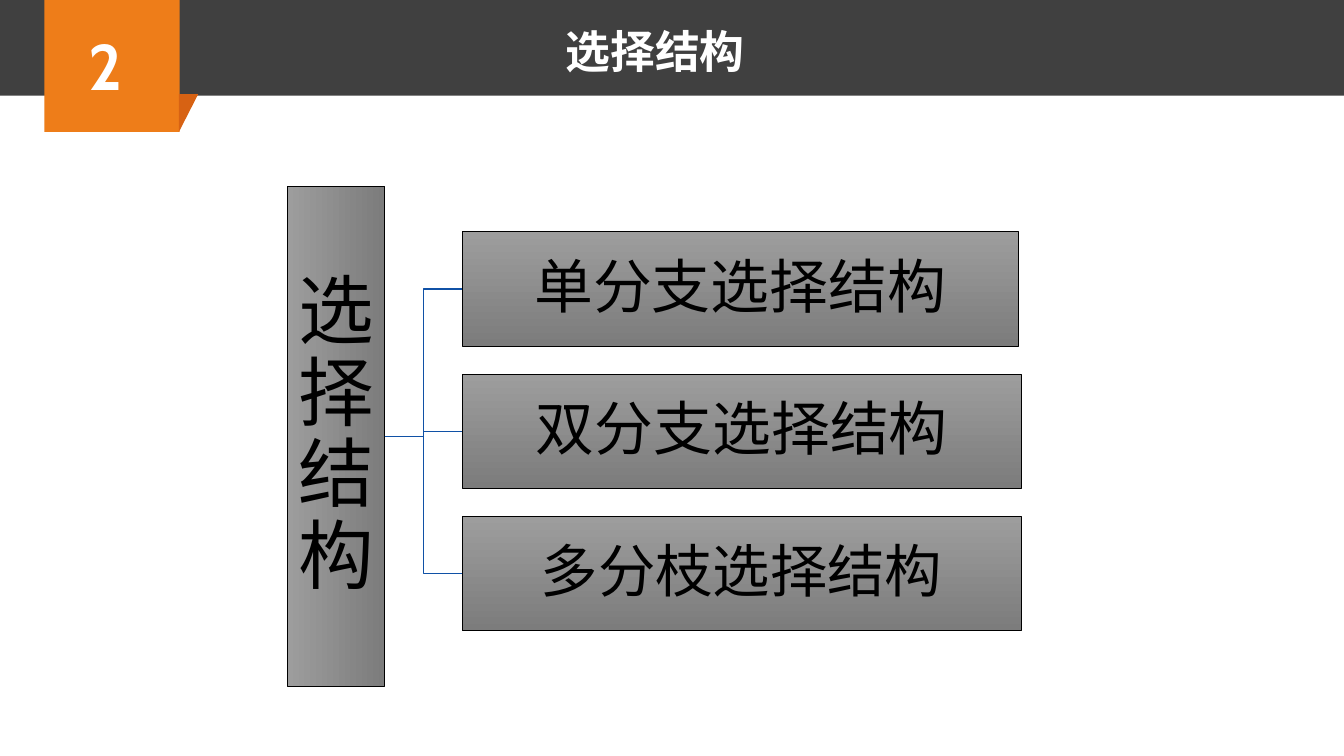
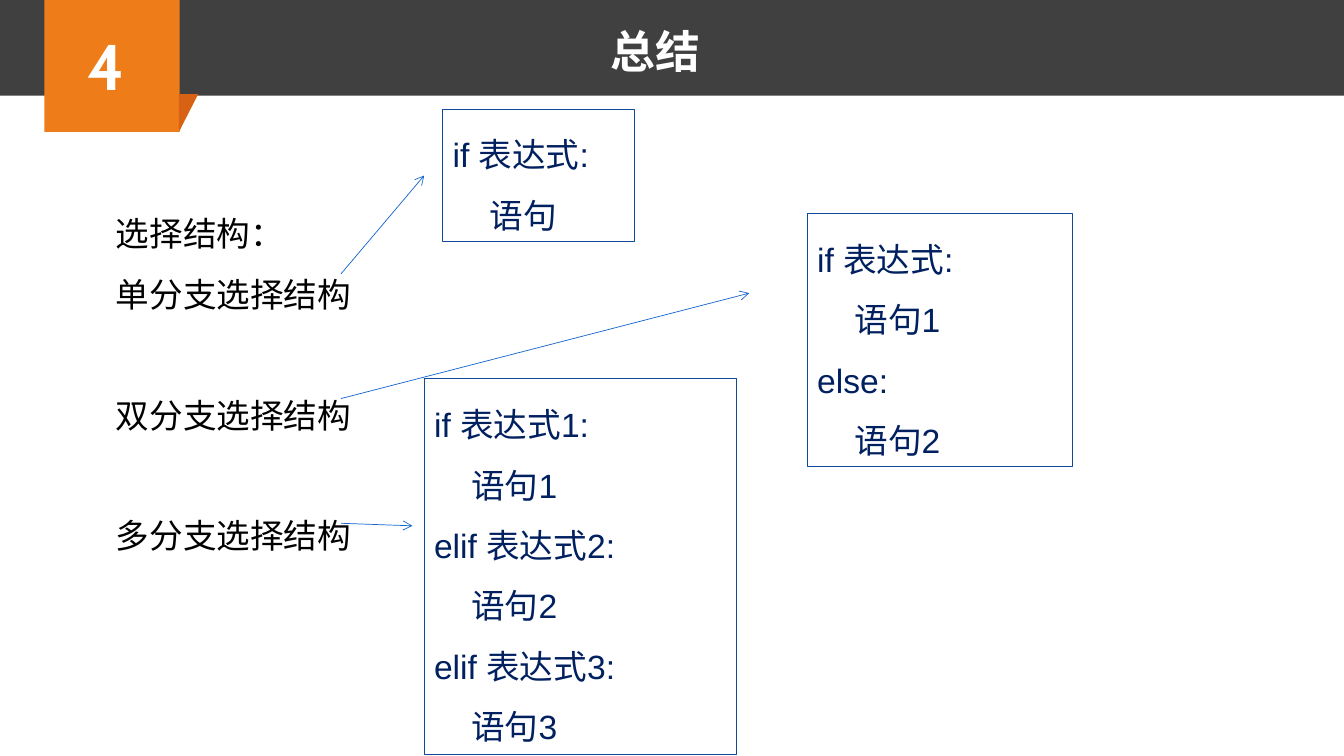
from dataclasses import dataclass

from lxml import etree
from pptx import Presentation
from pptx.dml.color import RGBColor
from pptx.enum.shapes import MSO_CONNECTOR, MSO_SHAPE
from pptx.enum.text import MSO_ANCHOR, MSO_AUTO_SIZE, PP_ALIGN
from pptx.oxml.ns import qn
from pptx.util import Inches, Pt

CELL = Inches(1) / 12
COLUMNS, ROWS = 160, 90
BAND_ROWS = 11.4
COLORS = {
    "band": "404040", "badge": "EE7D19", "fold": "D76213",
    "white": "FFFFFF", "black": "000000", "code": "002060",
    "code border": "0F4B99", "arrow": "1465CF", "branch line": "1051A6",
    "light gray": "9D9D9D", "dark gray": "7C7C7C",
}
LEFT_SITE, RIGHT_SITE = 1, 3


def cells(*counts):
    return [round(count * CELL) for count in counts]


@dataclass
class Box:
    """A rectangle measured in grid cells."""
    x: float
    y: float
    w: float
    h: float

    def inner(self, dx, dy, w, h):
        return Box(self.x + dx, self.y + dy, w, h)

    def emu(self):
        return cells(self.x, self.y, self.w, self.h)


CONTENT = Box(0, BAND_ROWS, COLUMNS, ROWS - BAND_ROWS)


def rgb(name):
    return RGBColor.from_string(COLORS[name])


def place(shape, box):
    shape.left, shape.top, shape.width, shape.height = box.emu()


def add_panel(slide, box, fill=None, border=None, border_width=0.75, kind=MSO_SHAPE.RECTANGLE):
    panel = slide.shapes.add_shape(kind, *box.emu())
    panel.shadow.inherit = False
    if fill:
        panel.fill.solid()
        panel.fill.fore_color.rgb = rgb(fill)
    else:
        panel.fill.background()
    if border:
        panel.line.color.rgb = rgb(border)
        panel.line.width = Pt(border_width)
    else:
        panel.line.fill.background()
    return panel


def write(shape, lines, size, color, font="Arial", bold=False, align=PP_ALIGN.LEFT,
          spacing=1.0, anchor=MSO_ANCHOR.TOP, margin=None):
    """Fill a shape with equally styled paragraphs and return them."""
    frame = shape.text_frame
    frame.text = "\n".join(lines)
    frame.word_wrap = True
    frame.auto_size = MSO_AUTO_SIZE.NONE
    frame.vertical_anchor = anchor
    if margin is not None:
        frame.margin_left = frame.margin_right = Inches(margin)
        frame.margin_top = frame.margin_bottom = Inches(margin)
    for paragraph in frame.paragraphs:
        paragraph.alignment = align
        paragraph.line_spacing = spacing
        paragraph.space_before = Pt(0)
        paragraph.font.name = font
        paragraph.font.size = Pt(size)
        paragraph.font.bold = bold
        paragraph.font.color.rgb = rgb(color)
    return frame.paragraphs


def set_indent(paragraph, inches):
    properties = paragraph._p.get_or_add_pPr()
    properties.set("marL", str(Inches(inches)))
    properties.set("indent", "0")
    return properties


def style_line(connector, color, width, arrow=False):
    connector.line.color.rgb = rgb(color)
    connector.line.width = Pt(width)
    properties = connector.element.spPr
    if arrow:
        etree.SubElement(properties.find(qn("a:ln")), qn("a:tailEnd"), type="arrow")
    etree.SubElement(properties, qn("a:effectLst"))


def add_master_header(prs, slide):
    """Draw band, badge and fold, then hand them to the slide master."""
    fold = Box(21.3, 11.2, 2.3, 4.5)
    # A quarter turn swaps the sides of the fold about its centre.
    turned = fold.inner((fold.w - fold.h) / 2, (fold.h - fold.w) / 2, fold.h, fold.w)
    parts = [
        add_panel(slide, Box(0, 0, COLUMNS, BAND_ROWS), "band"),
        add_panel(slide, Box(5.3, 0, 16.1, 15.7), "badge"),
        add_panel(slide, turned, "fold", kind=MSO_SHAPE.RIGHT_TRIANGLE),
    ]
    parts[-1].rotation = 90
    for number, part in enumerate(parts, start=101):
        part.element.nvSpPr.cNvPr.id = number
        prs.slide_master.shapes.element.append(part.element)


def add_heading(slide, number, title):
    place(slide.shapes.title, Box(54, 2.2, 48, 7.7))
    centred = dict(color="white", bold=True, align=PP_ALIGN.CENTER,
                   anchor=MSO_ANCHOR.MIDDLE, margin=0)
    write(slide.shapes.title, [title], 32, font="Lato", **centred)
    number_box = slide.shapes.add_textbox(*Box(9.1, 2.2, 7, 10.9).emu())
    write(number_box, [number], 46, font="Cabin", **centred)


def add_tree_node(slide, box, label, size, angle):
    node = add_panel(slide, box, border="black", border_width=0.5)
    node.fill.gradient()
    node.fill.gradient_angle = angle
    for stop, color in zip(node.fill.gradient_stops, ("light gray", "dark gray")):
        stop.color.rgb = rgb(color)
    write(node, [label], size, "black", align=PP_ALIGN.CENTER, spacing=0.9,
          anchor=MSO_ANCHOR.MIDDLE, margin=0.04)
    return node


def add_tree(slide, box, root_label, branches):
    """A tall root on the left, joined to a column of branches."""
    root = add_tree_node(slide, box.inner(0, 0, 11.6, box.h), root_label, 54, angle=0)
    for row, (label, size, width) in enumerate(branches):
        branch_box = box.inner(20.8, 5.4 + 16.95 * row, width, 13.6)
        branch = add_tree_node(slide, branch_box, label, size, angle=270)
        elbow = slide.shapes.add_connector(MSO_CONNECTOR.ELBOW, 0, 0, 0, 0)
        elbow.begin_connect(root, RIGHT_SITE)
        elbow.end_connect(branch, LEFT_SITE)
        style_line(elbow, "branch line", 1)


def add_topic_list(slide, box, heading, topics):
    topic_list = slide.placeholders[1]
    place(topic_list, box)
    paragraphs = write(topic_list, [heading, *topics], 24, "black", spacing=1.5)
    for paragraph in paragraphs:
        etree.SubElement(set_indent(paragraph, 0), qn("a:buNone"))
    for paragraph in paragraphs[2:]:
        paragraph.space_before = Pt(43)


def add_code_box(slide, corner, width, branches):
    """Conditions, each followed by its indented statement."""
    lines = [line for branch in branches for line in branch]
    x, y = corner
    code_box = add_panel(slide, CONTENT.inner(x, y, width, 7.25 * len(lines) + 1.2),
                         border="code border")
    paragraphs = write(code_box, lines, 24, "code", spacing=1.5)
    for statement in paragraphs[1::2]:
        set_indent(statement, 0.37)


def add_summary(slide, box, heading, cases):
    add_topic_list(slide, box.inner(12.6, 11, 40, 44.9), heading,
                   [case["topic"] for case in cases])
    for case in cases:
        add_code_box(slide, case["corner"], case["width"], case["code"])
    for row, case in enumerate(cases):
        tip_x, tip_y = case["tip"]
        start = box.inner(40.6, 21.2 + 14.85 * row, 0, 0)
        tip = box.inner(tip_x, tip_y, 0, 0)
        arrow = slide.shapes.add_connector(
            MSO_CONNECTOR.STRAIGHT, *cells(start.x, start.y, tip.x, tip.y))
        style_line(arrow, "arrow", 0.5, arrow=True)


def main():
    prs = Presentation()
    prs.slide_width, prs.slide_height = cells(COLUMNS, ROWS)
    content_layout, title_layout = prs.slide_layouts[1], prs.slide_layouts[5]

    structure = prs.slides.add_slide(title_layout)
    add_master_header(prs, structure)
    add_heading(structure, "2", "选择结构")
    add_tree(structure, CONTENT.inner(34.2, 10.8, 87.4, 59.5), "选择结构", [
        ("单分支选择结构", 42, 66.2),
        ("双分支选择结构", 42, 66.6),
        ("多分枝选择结构", 41, 66.6),
    ])

    summary = prs.slides.add_slide(content_layout)
    add_heading(summary, "4", "总结")
    add_summary(summary, CONTENT, "选择结构：", [
        {"topic": "单分支选择结构", "corner": (52.7, 1.6), "width": 22.8, "tip": (50.5, 9.5),
         "code": [("if 表达式:", "语句")]},
        {"topic": "双分支选择结构", "corner": (96.1, 14), "width": 31.6, "tip": (89.2, 23.5),
         "code": [("if 表达式:", "语句1"), ("else:", "语句2")]},
        {"topic": "多分支选择结构", "corner": (50.5, 33.7), "width": 37.2, "tip": (49.1, 51.2),
         "code": [("if 表达式1:", "语句1"), ("elif 表达式2:", "语句2"),
                  ("elif 表达式3:", "语句3")]},
    ])
    prs.save("out.pptx")


if __name__ == "__main__":
    main()
